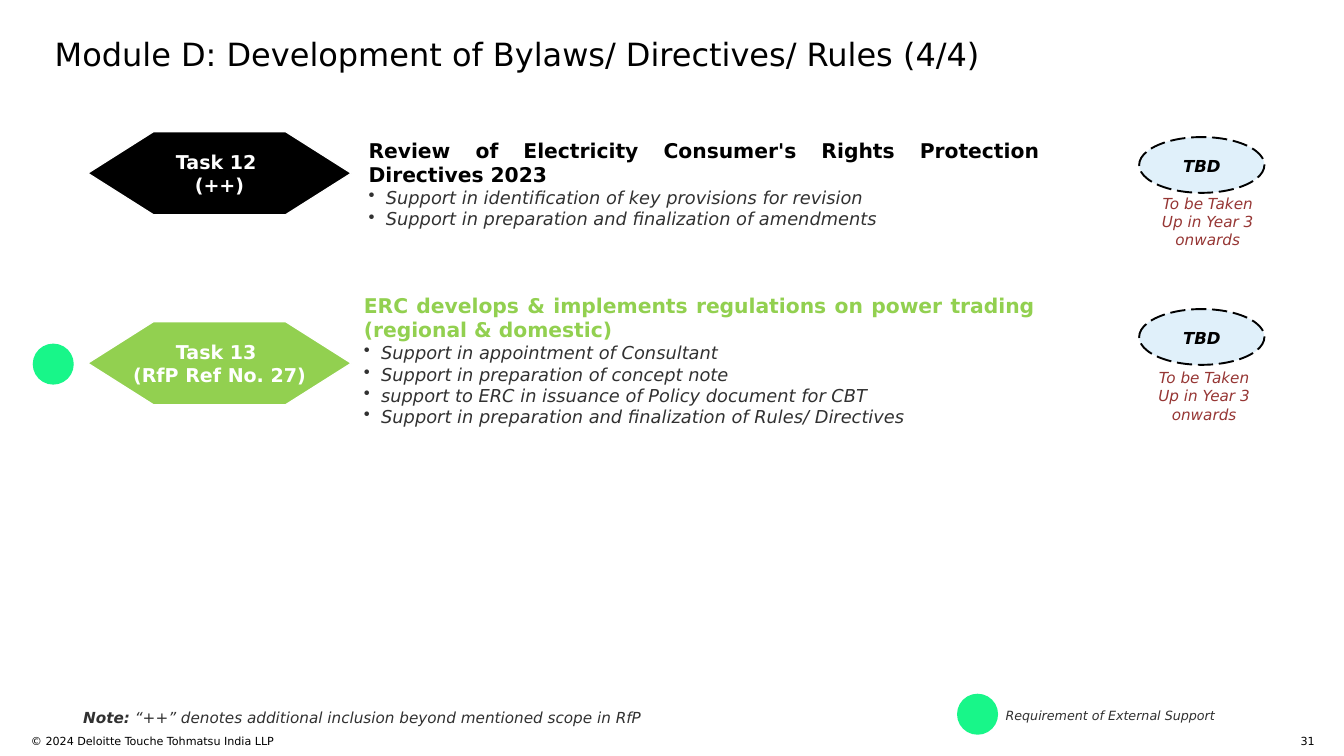
import pptx
import pptx.util
import pptx.dml.color
import pptx.enum.dml
import pptx.enum.shapes
import pptx.enum.text
import pptx.oxml.ns
import lxml.etree

Cm, Pt = pptx.util.Cm, pptx.util.Pt
RGBColor = pptx.dml.color.RGBColor
ALIGN = pptx.enum.text.PP_ALIGN
ANCHOR = pptx.enum.text.MSO_ANCHOR
SHAPE = pptx.enum.shapes.MSO_SHAPE

FONT = "DejaVu Sans"
BLACK = RGBColor(0x00, 0x00, 0x00)
WHITE = RGBColor(0xFF, 0xFF, 0xFF)
GREY = RGBColor(0x31, 0x31, 0x31)
LIME = RGBColor(0x92, 0xD0, 0x50)
MINT = RGBColor(0x18, 0xF6, 0x89)
PALE_BLUE = RGBColor(0xE0, 0xF0, 0xFA)
MAROON = RGBColor(0x96, 0x36, 0x34)

prs = pptx.Presentation()
prs.slide_width, prs.slide_height = Cm(37.34), Cm(21.01)
s = prs.slides.add_slide(prs.slide_layouts[5])


def write(sp, text, size, color, bold=False, italic=False, align=ALIGN.LEFT,
          anchor=ANCHOR.TOP, margins=(0, 0), wrap=True):
    """Fill a shape with one paragraph per line; margins are (side, top and bottom) in cm."""
    tf = sp.text_frame
    tf.text = text
    tf.word_wrap = wrap
    tf.auto_size = pptx.enum.text.MSO_AUTO_SIZE.NONE
    tf.vertical_anchor = anchor
    tf.margin_left = tf.margin_right = Cm(margins[0])
    tf.margin_top = tf.margin_bottom = Cm(margins[1])
    for p in tf.paragraphs:
        p.alignment = align
        for r in p.runs:
            r.font.name, r.font.size = FONT, Pt(size)
            r.font.bold, r.font.italic = bold, italic
            r.font.color.rgb = color
    return tf


def add_shape(kind, left, top, width, height, fill):
    sp = s.shapes.add_shape(kind, Cm(left), Cm(top), Cm(width), Cm(height))
    sp.shadow.inherit = False
    sp.fill.solid()
    sp.fill.fore_color.rgb = fill
    sp.line.fill.background()
    return sp


title = s.shapes.title
title.left, title.top, title.width, title.height = Cm(1.52), Cm(0.97), Cm(34.19), Cm(1.02)
write(title, "Module D: Development of Bylaws/ Directives/ Rules (4/4)", 25.2, BLACK)

# Task rows: label, colour, hexagon top, text left and top, oval top, timing left and top
tasks = [
    ("Task 12 \n(++)", BLACK, 3.66, (10.24, 3.84), 3.81, (31.75, 5.26),
     "Review of Electricity Consumer's Rights Protection Directives 2023",
     ["Support in identification of key provisions for revision",
      "Support in preparation and finalization of amendments"]),
    ("Task 13 \n(RfP Ref No. 27)", LIME, 8.94, (10.11, 8.15), 8.59, (31.65, 10.11),
     "ERC develops & implements regulations on power trading (regional & domestic)",
     ["Support in appointment of Consultant",
      "Support in preparation of concept note",
      "support to ERC in issuance of Policy document for CBT",
      "Support in preparation and finalization of Rules/ Directives"]),
]
for label, color, hex_top, text_at, oval_top, timing_at, heading, bullets in tasks:
    hexagon = add_shape(SHAPE.HEXAGON, 2.44, hex_top, 7.32, 2.31, color)
    hexagon.adjustments[0] = 0.79
    hexagon.line.color.rgb = WHITE
    hexagon.line.width = Pt(1)
    write(hexagon, label, 15, WHITE, bold=True, align=ALIGN.CENTER,
          anchor=ANCHOR.MIDDLE, wrap=False)

    box = s.shapes.add_textbox(Cm(text_at[0]), Cm(text_at[1]), Cm(18.64),
                               Cm(1.38 + 0.6 * len(bullets)))
    tf = write(box, "\n".join([heading] + bullets), 14, GREY, italic=True,
               align=ALIGN.JUSTIFY)
    font = tf.paragraphs[0].runs[0].font
    font.size, font.bold, font.italic = Pt(16), True, False
    font.color.rgb = color
    for p in tf.paragraphs[1:]:
        pPr = p._p.get_or_add_pPr()
        pPr.set("marL", str(Cm(0.48)))
        pPr.set("indent", str(-Cm(0.48)))
        bullet = lxml.etree.SubElement(pPr, pptx.oxml.ns.qn("a:buChar"))
        bullet.set("char", "•")

    oval = add_shape(SHAPE.OVAL, 31.65, oval_top, 3.48, 1.55, PALE_BLUE)
    oval.line.color.rgb = BLACK
    oval.line.width = Pt(1.5)
    oval.line.dash_style = pptx.enum.dml.MSO_LINE.LONG_DASH
    tf = write(oval, "TBD", 13, BLACK, bold=True, italic=True, align=ALIGN.CENTER,
               anchor=ANCHOR.MIDDLE, margins=(0.25, 0.25))
    tf.paragraphs[0].line_spacing = 1.06

    timing = s.shapes.add_textbox(Cm(timing_at[0]), Cm(timing_at[1]), Cm(3.61), Cm(1.8))
    write(timing, "To be Taken Up in Year 3 onwards", 12, MAROON, italic=True,
          align=ALIGN.CENTER, margins=(0.25, 0.13))

# External support markers: beside task 13 and in the legend
for left, top in [(0.91, 9.55), (26.59, 19.28)]:
    add_shape(SHAPE.OVAL, left, top, 1.14, 1.14, MINT)
legend = s.shapes.add_textbox(Cm(27.94), Cm(19.66), Cm(7.21), Cm(0.43))
write(legend, "Requirement of External Support", 10, GREY, italic=True)

note = s.shapes.add_textbox(Cm(2.06), Cm(19.56), Cm(18.67), Cm(0.76))
tf = write(note, "Note:", 12, GREY, bold=True, italic=True, margins=(0.25, 0.13))
r = tf.paragraphs[0].add_run()
r.text = " “++” denotes additional inclusion beyond mentioned scope in RfP"
r.font.name, r.font.size = FONT, Pt(12)
r.font.bold, r.font.italic = False, True
r.font.color.rgb = GREY

footer = s.shapes.add_textbox(Cm(0.86), Cm(20.4), Cm(16.41), Cm(0.6))
write(footer, "© 2024 Deloitte Touche Tohmatsu India LLP", 8.8, BLACK)
page_number = s.shapes.add_textbox(Cm(35.59), Cm(20.4), Cm(0.94), Cm(0.3))
write(page_number, "31", 8.8, BLACK, align=ALIGN.RIGHT)

prs.save("out.pptx")
